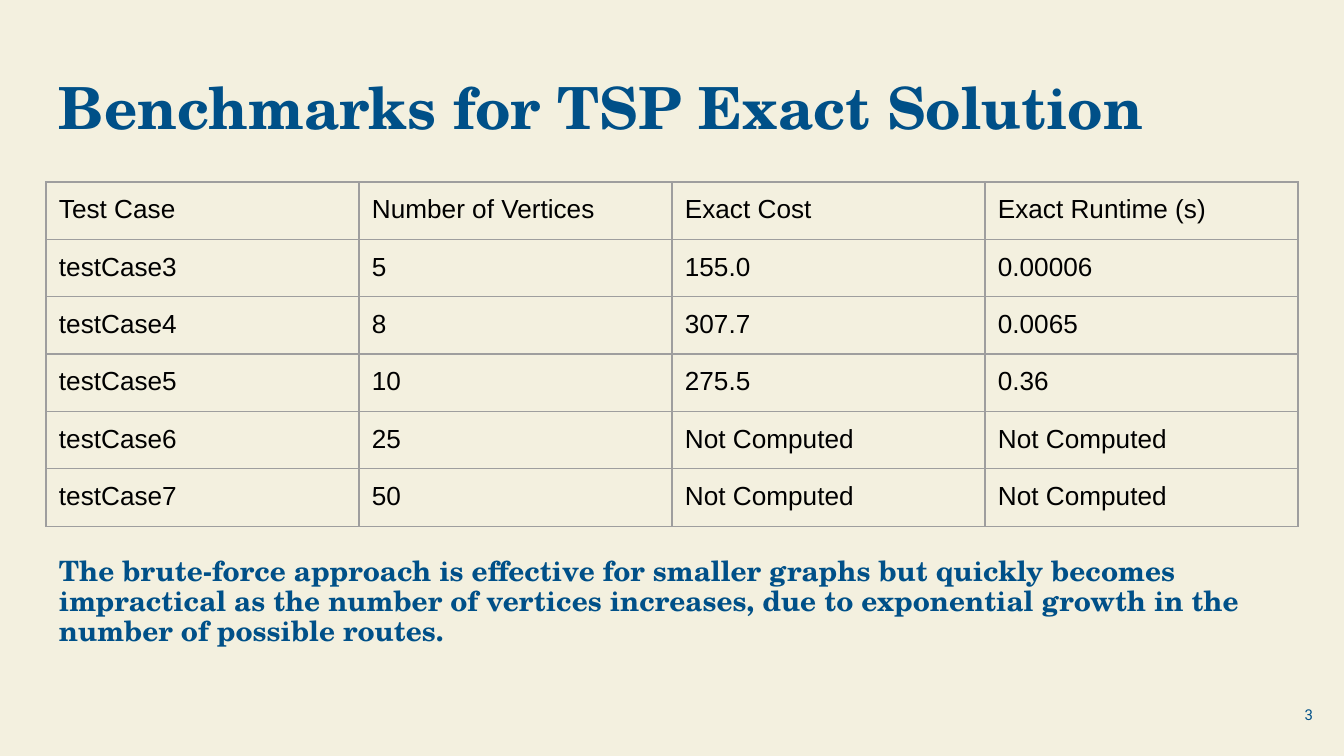
from lxml.etree import SubElement
from pptx import Presentation
from pptx.dml.color import RGBColor
from pptx.enum.text import MSO_ANCHOR as Anchor, MSO_AUTO_SIZE as AutoSize, PP_ALIGN as Align
from pptx.oxml.ns import qn
from pptx.util import Emu, Pt

PX = 914400 / 134.4
INSET = 13
CREAM, BLUE, GREY, BLACK = "F3F0DF", "005088", "9E9E9E", "000000"
SERIF = "TeX Gyre Schola"

ROWS = [
    ("Test Case", "Number of Vertices", "Exact Cost", "Exact Runtime (s)"),
    ("testCase3", "5", "155.0", "0.00006"),
    ("testCase4", "8", "307.7", "0.0065"),
    ("testCase5", "10", "275.5", "0.36"),
    ("testCase6", "25", "Not Computed", "Not Computed"),
    ("testCase7", "50", "Not Computed", "Not Computed"),
]


def px(length):
    return Emu(round(length * PX))


def color(code):
    return RGBColor.from_string(code)


def set_insets(holder):
    holder.margin_left = holder.margin_right = px(INSET)
    holder.margin_top = holder.margin_bottom = px(INSET)


def format_text(frame, font, size, code, bold=False, align=Align.LEFT):
    for para in frame.paragraphs:
        para.alignment = align
        for span in para.runs:
            span.font.name = font
            span.font.size = Pt(size)
            span.font.bold = bold
            span.font.color.rgb = color(code)


def place(shape, box):
    shape.left, shape.top, shape.width, shape.height = map(px, box)


def heading(shape, box, text, size):
    place(shape, box)
    frame = shape.text_frame
    frame.text = text
    frame.word_wrap = True
    frame.auto_size = AutoSize.NONE
    frame.vertical_anchor = Anchor.TOP
    set_insets(frame)
    format_text(frame, SERIF, size, BLUE, bold=True)
    para = frame.paragraphs[0]
    para.line_spacing = 0.9
    para.space_before = Pt(0)


def conclusion(shape, box, text):
    heading(shape, box, text, 15)
    properties = shape.text_frame.paragraphs[0]._p.get_or_add_pPr()
    properties.set("marL", "0")
    properties.set("indent", "0")
    SubElement(properties, qn("a:buNone"))


def add_borders(cell):
    properties = cell._tc.get_or_add_tcPr()
    for index, side in enumerate(("lnL", "lnR", "lnT", "lnB")):
        line = properties.makeelement(qn(f"a:{side}"), {"w": str(Pt(0.75))})
        fill = SubElement(line, qn("a:solidFill"))
        SubElement(fill, qn("a:srgbClr"), val=GREY)
        properties.insert(index, line)


def benchmark_table(page, box):
    table = page.shapes.add_table(len(ROWS), len(ROWS[0]), *map(px, box)).table
    table.first_row = table.horz_banding = False
    for row, values in zip(table.rows, ROWS):
        for cell, value in zip(row.cells, values):
            cell.text = value
            cell.fill.background()
            set_insets(cell)
            format_text(cell.text_frame, "Arial", 14, BLACK)
            add_borders(cell)


def page_number(page, box, number):
    frame = page.shapes.add_textbox(*map(px, box)).text_frame
    frame.text = number
    frame.word_wrap = True
    frame.vertical_anchor = Anchor.MIDDLE
    set_insets(frame)
    format_text(frame, "Roboto", 8, BLUE, align=Align.RIGHT)


def main():
    deck = Presentation()
    deck.slide_width, deck.slide_height = px(1344), px(756)
    page = deck.slides.add_slide(deck.slide_layouts[1])
    page.background.fill.solid()
    page.background.fill.fore_color.rgb = color(CREAM)
    title, body = page.placeholders
    page_number(page, (1246, 686, 80, 58), "3")
    heading(title, (46, 66, 1252, 85), "Benchmarks for TSP Exact Solution", 31.1)
    benchmark_table(page, (46, 182, 1252, 336))
    conclusion(
        body,
        (46, 544, 1235, 191),
        "The brute-force approach is effective for smaller graphs but quickly becomes "
        "impractical as the number of vertices increases, due to exponential growth in "
        "the number of possible routes.",
    )
    deck.save("out.pptx")


if __name__ == "__main__":
    main()
